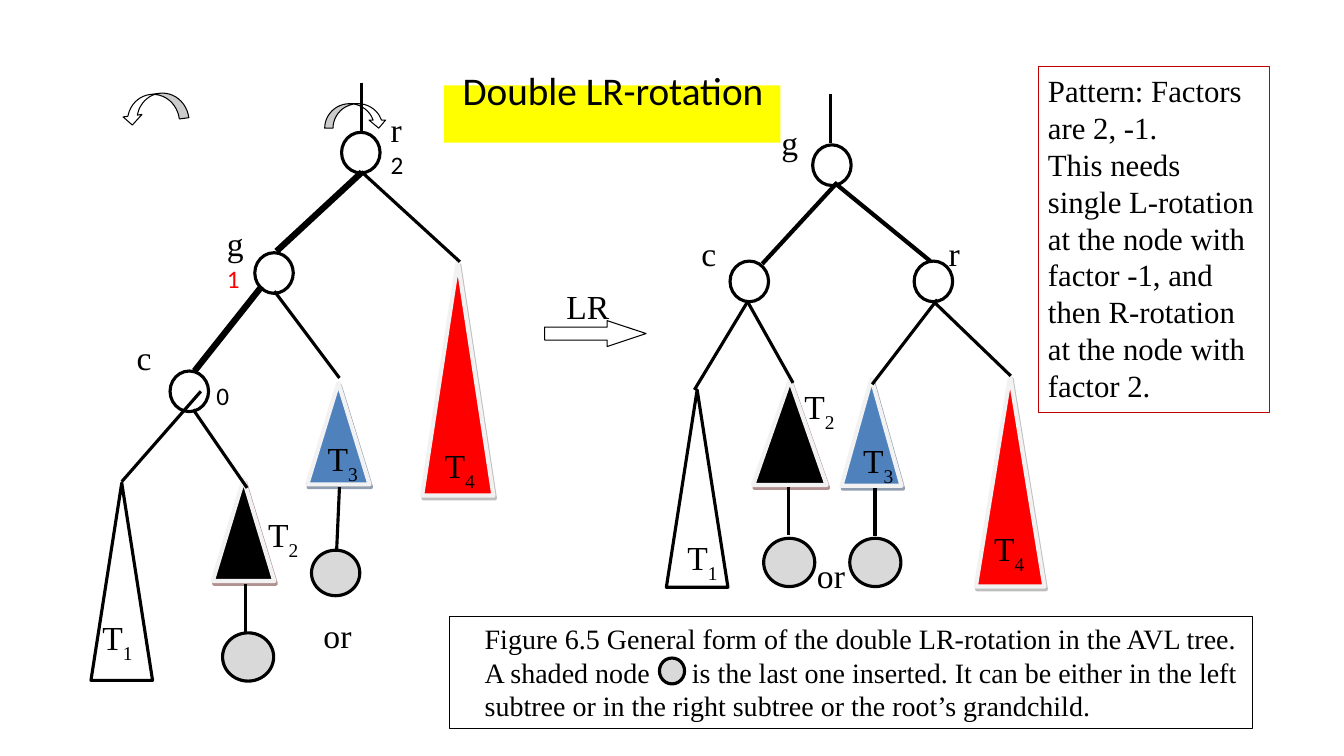
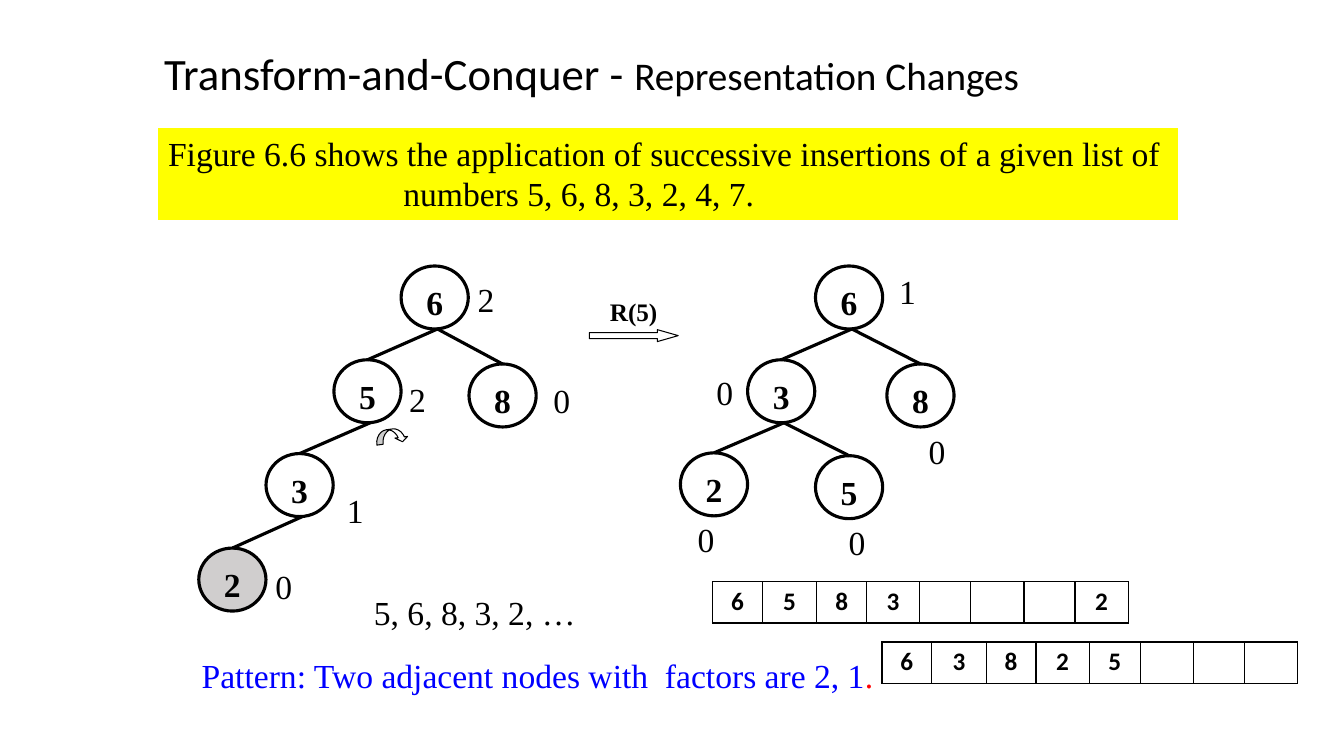
from lxml import etree
from pptx import Presentation
from pptx import util as u
from pptx.dml.color import RGBColor
from pptx.enum import shapes, text
from pptx.oxml.ns import qn

COLORS = {
    "black": "000000", "white": "FFFFFF", "yellow": "FFFF00",
    "red": "FF0000", "dark red": "C00000", "blue": "0000FF",
    "steel": "4F81BD", "inserted": "D9D9D9", "new node": "D0CECE",
    "rim": "F2F2F2", "brown shade": "622423", "navy shade": "243F60",
    "grey shade": "7F7F7F",
}
SERIF, SANS = "Times New Roman", "Calibri"
LEFT, CENTER = text.PP_ALIGN.LEFT, text.PP_ALIGN.CENTER
PRESET = shapes.MSO_SHAPE


def write(frame, *paragraphs, size=24, font=SERIF, color="black",
          bold=False, align=LEFT):
    """Fill a frame; a paragraph is a string or a list of (text, overrides)."""
    frame.word_wrap = True
    for number, content in enumerate(paragraphs):
        paragraph = frame.paragraphs[0] if number == 0 else frame.add_paragraph()
        paragraph.alignment = align
        runs = [(content, {})] if isinstance(content, str) else content
        for words, own in runs:
            run = paragraph.add_run()
            run.text = words
            run.font.name = own.get("font", font)
            run.font.size = u.Pt(own.get("size", size))
            run.font.bold = bold
            run.font.color.rgb = RGBColor.from_string(COLORS[own.get("color", color)])
            if own.get("subscript"):
                run._r.get_or_add_rPr().set("baseline", "-30000")


def add_preset(slide, preset, box, fill=None, line="black", weight=2.25):
    shape = slide.shapes.add_shape(preset, *map(u.Pt, box))
    shape.shadow.inherit = False
    if fill:
        shape.fill.solid()
        shape.fill.fore_color.rgb = RGBColor.from_string(COLORS[fill])
    else:
        shape.fill.background()
    if line:
        shape.line.color.rgb = RGBColor.from_string(COLORS[line])
        shape.line.width = u.Pt(weight)
    else:
        shape.line.fill.background()
    return shape


prs = Presentation()
prs.slide_width, prs.slide_height = u.Pt(960), u.Pt(540)
rotation, insertion = [prs.slides.add_slide(prs.slide_layouts[5]) for _ in range(2)]

# Titles
titles = [
    (rotation, (317, 61, 240.5, 41), [("Double LR-rotation", {"size": 28})]),
    (insertion, (110, 29, 631, 46),
     [("Transform-and-Conquer - ", {"size": 32}),
      ("Representation Changes", {"size": 28})]),
]
for slide, box, runs in titles:
    title = slide.shapes.title
    title.left, title.top, title.width, title.height = map(u.Pt, box)
    title.text_frame.auto_size = text.MSO_AUTO_SIZE.NONE
    title.text_frame.vertical_anchor = text.MSO_ANCHOR.MIDDLE
    write(title.text_frame, runs, font=SANS)
heading = rotation.shapes.title
heading.fill.solid()
heading.fill.fore_color.rgb = RGBColor.from_string(COLORS["yellow"])
heading.text_frame.margin_left = u.Pt(13.5)
heading.text_frame.margin_top = 0
heading.text_frame.margin_bottom = u.Pt(34)

# Slide 1: subtrees
shaded_subtrees = [
    ((152, 342.5, 44, 72.5), "black", "brown shade"),
    ((219.5, 273.5, 44.5, 72.5), "steel", "navy shade"),
    ((301.5, 187, 51, 167), "red", "grey shade"),
    ((538, 271.5, 52.5, 75), "black", "brown shade"),
    ((601, 270.5, 43, 76.5), "steel", "navy shade"),
    ((697, 268.5, 49, 150.5), "red", "grey shade"),
]
for box, fill, shade in shaded_subtrees:
    subtree = add_preset(rotation, PRESET.FLOWCHART_EXTRACT, box, fill, "rim", 3)
    effects = subtree.element.spPr.find(qn("a:effectLst"))
    shadow = etree.SubElement(effects, qn("a:outerShdw"), dist=str(u.Pt(2.2)),
                              dir=str(63 * 60000), algn="ctr", rotWithShape="0")
    tint = etree.SubElement(shadow, qn("a:srgbClr"), val=COLORS[shade])
    etree.SubElement(tint, qn("a:alpha"), val="50000")
for x, y in [(65, 345), (476, 278.5)]:
    add_preset(rotation, PRESET.FLOWCHART_EXTRACT, (x, y, 44, 141), "white")

# Slide 1: nodes
for x, y in [(244, 94.5), (182, 180.5), (121.5, 265),
             (580.5, 103.5), (521.5, 186.5), (653, 186.5)]:
    add_preset(rotation, PRESET.FLOWCHART_CONNECTOR, (x, y, 27.5, 29), "white")
for box in [(159, 452, 36.5, 34.5), (222.5, 393, 34.5, 32.5),
            (545.5, 384.5, 36.5, 34.5), (607, 384.5, 36.5, 34.5),
            (471, 470, 18, 18.5)]:
    add_preset(rotation, PRESET.FLOWCHART_CONNECTOR, box, "inserted")

edges = [(rotation, *edge) for edge in [
    (258.5, 59, 258.5, 95, 2.25),
    (258.5, 123, 197.5, 179.5, 4.5),
    (258, 122.5, 328.5, 187, 2.25),
    (187, 204.5, 139, 265, 4.5),
    (196, 208, 242.5, 270, 2.25),
    (143.5, 279.5, 87, 344, 2.25),
    (138, 292.5, 176.5, 348.5, 2.25),
    (175.5, 417, 175.5, 451.5, 2.25),
    (242.5, 348, 240.5, 392.5, 2.25),
    (593.5, 67.5, 593.5, 102.5, 2.25),
    (597.5, 131, 544.5, 188.5, 3),
    (596, 130.5, 664.5, 186.5, 3),
    (534, 215.5, 496, 278.5, 2.25),
    (534, 215.5, 566.5, 273.5, 2.25),
    (669.5, 214, 623, 274.5, 2.25),
    (668, 216.5, 722, 268.5, 2.25),
    (563, 348, 563, 382.5, 2.25),
    (625, 348.5, 625, 383, 2.25),
]]

# Slide 1: labels
small = {"size": 18, "font": SANS}
labels = [
    (90.5, 237, ["c"]), (494, 162.5, ["c"]), (551, 83.5, ["g"]),
    (670.5, 162.5, ["r"]), (224, 435.5, ["or"]), (576.5, 392.5, ["or"]),
    (397.5, 201, ["LR"]),
    (147.5, 268, [[("0", small)]]),
    (272, 74, ["r", [("2", small)]]),
    (155, 155.5, ["g", [("1", {**small, "color": "red"})]]),
]
subtree_labels = [
    (66, 437, "1"), (184.5, 363.5, "2"), (227, 309.5, "3"), (310.5, 314, "4"),
    (484, 380, "1"), (567.5, 272, "2"), (609.5, 310.5, "3"), (703, 373.5, "4"),
]
labels += [(x, y, [[("T", {}), (index, {"subscript": True})]])
           for x, y, index in subtree_labels]
for x, y, paragraphs in labels:
    label = rotation.shapes.add_textbox(u.Pt(x), u.Pt(y), u.Pt(50), u.Pt(36))
    write(label.text_frame, *paragraphs)

# Framed and filled text
notes = [
    (rotation, (741.5, 47.5, 165, 247), None, "dark red", 22,
     ["Pattern: Factors are 2, -1.",
      "This needs single L-rotation at the node with factor -1, "
      "and then R-rotation at the node with factor 2."]),
    (rotation, (321, 440.5, 574, 80), None, "black", 20,
     ["Figure 6.5 General form of the double LR-rotation in the AVL tree. "
      "A shaded node\tis the last one inserted. It can be either in the left "
      "subtree or in the right subtree or the root’s grandchild."]),
    (insertion, (113, 91.5, 728.5, 65.5), "yellow", None, 24,
     ["Figure 6.6 shows the application of successive insertions of a given list of",
      "numbers 5, 6, 8, 3, 2, 4, 7."]),
]
frames = []
for slide, box, fill, line, size, paragraphs in notes:
    frame = add_preset(slide, PRESET.RECTANGLE, box, fill, line, 0.75).text_frame
    frame.vertical_anchor = text.MSO_ANCHOR.TOP
    write(frame, *paragraphs, size=size)
    frames.append(frame)
pattern, caption, task = frames
caption.margin_left = u.Pt(25.2)
tabs = etree.SubElement(caption.paragraphs[0]._p.get_or_add_pPr(), qn("a:tabLst"))
etree.SubElement(tabs, qn("a:tab"), pos=str(u.Pt(148)), algn="l")
task.paragraphs[1]._p.get_or_add_pPr().set("marL", str(u.Pt(168)))

# Arrows
arrows = [
    (rotation, PRESET.RIGHT_ARROW, (389, 229, 72.5, 18.5), 0, False, (0.5, 1.5)),
    (rotation, PRESET.CURVED_RIGHT_ARROW, (100, 53.5, 20, 47.5), 82.6, False,
     (0.34, 0.68, 0.33)),
    (rotation, PRESET.CURVED_RIGHT_ARROW, (245.5, 60.5, 17.5, 44.5), 90, True,
     (0.34, 0.68, 0.33)),
    (insertion, PRESET.RIGHT_ARROW, (421, 235.5, 63.5, 8.5), 0, False, (0.5, 1.75)),
    (insertion, PRESET.CURVED_RIGHT_ARROW, (275, 300, 10, 23), 82.6, True,
     (0.45, 0.91, 0.33)),
]
for slide, preset, box, angle, flipped, adjustments in arrows:
    arrow = add_preset(slide, preset, box, "white", weight=0.75)
    arrow.rotation = angle
    if flipped:
        arrow.element.spPr.find(qn("a:xfrm")).set("flipV", "1")
    for number, value in enumerate(adjustments):
        arrow.adjustments[number] = value

# Slide 2: trees, as value, x, y, parent's position in the list, factor, its x and y
NODE_W, NODE_H = 48, 45
trees = [
    [("6", 286.5, 190, None, "2", 329, 196),
     ("5", 238.5, 257, 0, "2", 280, 267),
     ("8", 335, 260, 0, "0", 383, 268),
     ("3", 190, 324, 1, "1", 235.5, 346.5),
     ("2", 142, 391.5, 3, "0", 184.5, 401)],
    [("6", 582.5, 190, None, "1", 630, 190),
     ("3", 534, 257, 0, "0", 499.5, 262),
     ("8", 633.5, 260, 0, "0", 651, 304.5),
     ("2", 486, 323.5, 1, "0", 486, 367),
     ("5", 582.5, 325.5, 1, "0", 594, 369.5)],
]
for tree in trees:
    for value, x, y, parent, factor, factor_x, factor_y in tree:
        fill = "new node" if parent == 3 else "white"
        node = add_preset(insertion, PRESET.OVAL, (x, y, NODE_W, NODE_H), fill)
        node.text_frame.vertical_anchor = text.MSO_ANCHOR.TOP
        node.text_frame.margin_top = u.Pt(5)
        node.text_frame.margin_bottom = 0
        write(node.text_frame, value, bold=True, align=CENTER)
        balance = insertion.shapes.add_textbox(
            u.Pt(factor_x), u.Pt(factor_y), u.Pt(36.5), u.Pt(36))
        write(balance.text_frame, factor, align=CENTER)
        if parent is not None:
            parent_x, parent_y = tree[parent][1:3]
            edges.append((insertion, parent_x + NODE_W / 2 + 2, parent_y + NODE_H,
                          x + NODE_W / 2, y, 2.25))

remarks = [
    ((428.5, 208, 60, 29), ["R(5)"], {"size": 18, "bold": True}),
    ((260, 419, 175, 36), ["5, 6, 8, 3, 2, …"], {}),
    ((137, 464.5, 513, 36),
     [[("Pattern: Two adjacent nodes with  factors are 2, 1", {}),
       (".", {"color": "red"})]], {"color": "blue"}),
]
for box, paragraphs, style in remarks:
    remark = insertion.shapes.add_textbox(*map(u.Pt, box))
    write(remark.text_frame, *paragraphs, **style)

# Edges of all trees
for slide, x1, y1, x2, y2, weight in edges:
    edge = slide.shapes.add_connector(
        shapes.MSO_CONNECTOR.STRAIGHT, *map(u.Pt, (x1, y1, x2, y2)))
    edge.line.color.rgb = RGBColor.from_string(COLORS["black"])
    edge.line.width = u.Pt(weight)
    etree.SubElement(edge._element.spPr, qn("a:effectLst"))

# Slide 2: arrays that store the trees
column_widths = [35.5, 39, 35.5, 38, 36.5, 38, 36.5, 38]
arrays = [
    (509, 415.5, ["6", "5", "8", "3", "", "", "", "2"]),
    (630, 458.5, ["6", "3", "8", "2", "5", "", "", ""]),
]
for x, y, values in arrays:
    array = insertion.shapes.add_table(
        1, len(values), u.Pt(x), u.Pt(y), u.Pt(sum(column_widths)), u.Pt(29.5)).table
    array.first_row = array.horz_banding = False
    for column, (width, value) in enumerate(zip(column_widths, values)):
        array.columns[column].width = u.Pt(width)
        cell = array.cell(0, column)
        for side in ("lnL", "lnR", "lnT", "lnB"):
            border = etree.SubElement(cell._tc.get_or_add_tcPr(), qn(f"a:{side}"),
                                      w=str(u.Pt(1)))
            ink = etree.SubElement(border, qn("a:solidFill"))
            etree.SubElement(ink, qn("a:srgbClr"), val=COLORS["black"])
        cell.fill.solid()
        cell.fill.fore_color.rgb = RGBColor.from_string(COLORS["white"])
        if value:
            write(cell.text_frame, value, size=18, font=SANS, bold=True, align=CENTER)

prs.save("out.pptx")
